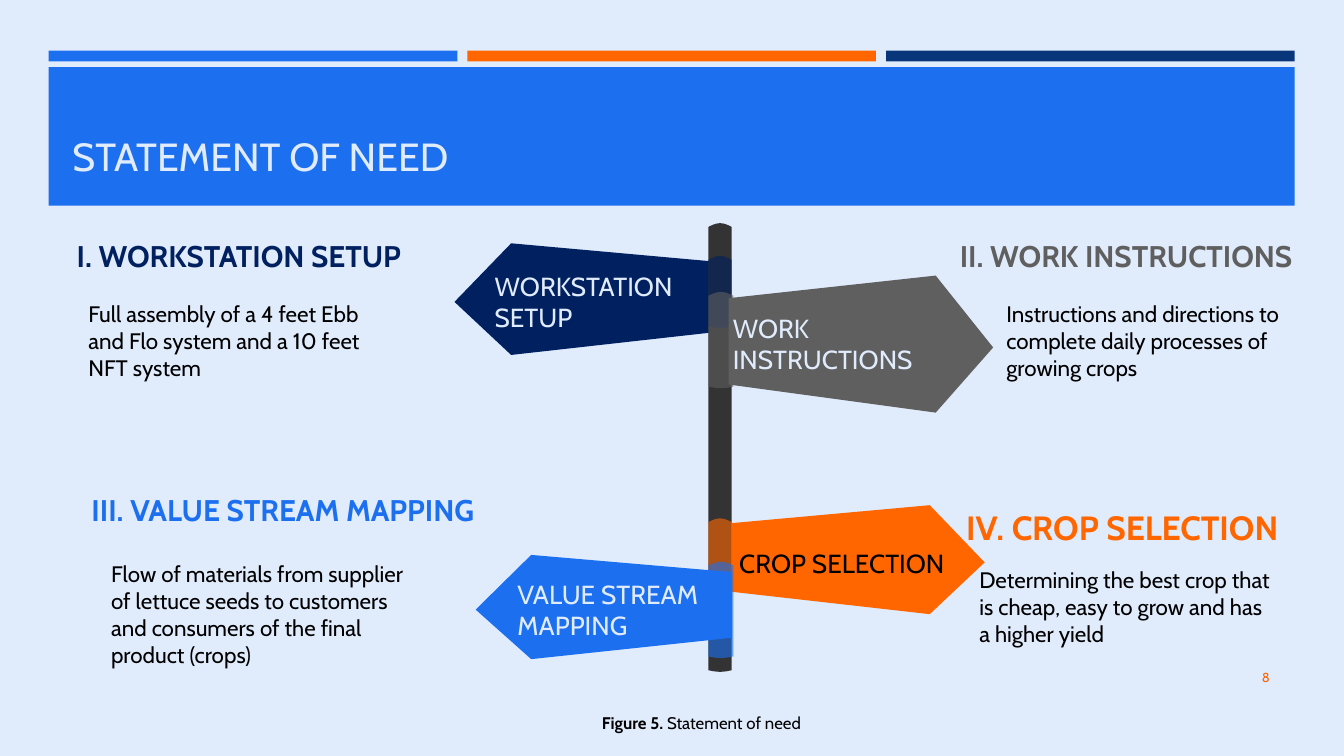
from math import pi, sin

from lxml.etree import SubElement
from pptx import Presentation
from pptx.dml.color import RGBColor
from pptx.enum.shapes import MSO_SHAPE as Shape
from pptx.enum.text import MSO_ANCHOR as Anchor, PP_ALIGN as Align
from pptx.oxml.ns import qn
from pptx.util import Cm, Pt

COLORS = {
    "page": "E0EBFC", "blue": "1C6FEE", "orange": "FF6600", "deep": "09367B",
    "navy": "002060", "gray": "5F5F5F", "post": "333333", "black": "000000",
}
FONT = "Cabin"
BODY_INSETS = (0.25, 0.13, 0.25, 0.13)
HEAD_INSETS = (0, 0.13, 0.25, 0.13)


def rgb(color):
    return RGBColor.from_string(COLORS[color])


def paint(shape, color, opacity=100):
    shape.shadow.inherit = False
    shape.fill.solid()
    shape.fill.fore_color.rgb = rgb(color)
    shape.line.fill.background()
    if opacity < 100:
        tone = shape.fill._xPr.find(qn("a:solidFill"))[0]
        SubElement(tone, qn("a:alpha")).set("val", str(opacity * 1000))


def add_text(page, box, text, size=12, color="black", bold=False, lead="",
             align=Align.LEFT, anchor=Anchor.TOP, insets=BODY_INSETS):
    """Add a text box; lead is a bold opening of the first paragraph."""
    frame = page.shapes.add_textbox(*map(Cm, box)).text_frame
    frame.word_wrap = True
    frame.vertical_anchor = anchor
    (frame.margin_left, frame.margin_top,
     frame.margin_right, frame.margin_bottom) = map(Cm, insets)
    for index, line in enumerate(text.split("\n")):
        para = frame.add_paragraph() if index else frame.paragraphs[0]
        para.alignment = align
        parts = [(line, bold)]
        if lead and index == 0:
            parts.insert(0, (lead, True))
        for words, heavy in parts:
            span = para.add_run()
            span.text = words
            span.font.name = FONT
            span.font.size = Pt(size)
            span.font.bold = heavy
            span.font.color.rgb = rgb(color)


def add_rect(page, box, color):
    paint(page.shapes.add_shape(Shape.RECTANGLE, *map(Cm, box)), color)


def add_outline(page, points, color, opacity=100):
    corners = [(Cm(x), Cm(y)) for x, y in points]
    builder = page.shapes.build_freeform(*corners[0], scale=1.0)
    builder.add_line_segments(corners[1:], close=True)
    paint(builder.convert_to_shape(), color, opacity)


def add_sign(page, box, color, points_left=False):
    """Arrow board that widens from the post towards its tip."""
    left, top, width, height = box
    board = [(0, 0.165), (0.783, 0), (1, 0.525), (0.783, 1), (0, 0.795)]
    add_outline(page, [(left + width * (1 - x if points_left else x),
                        top + height * y) for x, y in board], color)


def add_tube(page, box, color, opacity=100):
    """Piece of post with a domed top and a slightly bulging base."""
    left, top, width, height = box
    dome, bulge, steps = 0.07, 0.03, 12
    turns = [step / steps for step in range(steps + 1)]
    upper = [(left + width * t, top + dome * (1 - sin(pi * t))) for t in turns]
    lower = [(left + width * t, top + height - bulge * (1 - sin(pi * t)))
             for t in reversed(turns)]
    add_outline(page, upper + lower, color, opacity)


def add_header(page, box, title):
    left, top, width, height = box
    gap, stripe_height = 0.19, 0.2
    stripe = (width - 2 * gap) / 3
    for index, color in enumerate(("blue", "orange", "deep")):
        add_rect(page, (left + index * (stripe + gap), top, stripe,
                        stripe_height), color)
    add_rect(page, (left, top + 0.31, width, height - 0.31), "blue")
    add_text(page, (left + 0.27, top + 0.56, width - 0.54, 2.06), title,
             size=21, color="page", anchor=Anchor.BOTTOM,
             insets=(0.18, 0.18, 0.18, 0.18))


def add_signpost(page, box):
    left, top, width, height = box

    def band(offset, length, color, extra=0.0):
        add_tube(page, (left, top + offset, width + extra, length), color, 61)

    right = left + width
    add_sign(page, (left - 4.8, top + 0.38, 4.94, 2.11), "navy", True)
    add_tube(page, box, "post")
    band(5.58, 1.48, "orange")
    add_sign(page, (right, top + 5.33, 4.78, 2.06), "orange")
    add_sign(page, (left - 4.4, top + 6.27, 4.84, 1.97), "blue", True)
    band(0.62, 1.36, "navy")
    band(1.3, 1.82, "gray", 0.03)
    band(6.4, 1.82, "blue", 0.03)
    add_sign(page, (right - 0.06, top + 0.99, 5, 2.59), "gray")

    labels = [
        ("WORKSTATION\nSETUP", -4.04, 0.76, 4.06, 1.45, "page"),
        ("WORK INSTRUCTIONS", 0.46, 1.55, 4.06, 1.45, "page"),
        ("CROP SELECTION", 0.58, 5.99, 4.57, 0.86, "black"),
        ("VALUE STREAM MAPPING", -3.61, 6.58, 4.06, 1.45, "page"),
    ]
    for text, across, down, wide, high, color in labels:
        add_text(page, (left + across, top + down, wide, high), text, size=14,
                 color=color, anchor=Anchor.MIDDLE, insets=HEAD_INSETS)


def add_need(page, head_box, body_at, heading, text, color, size=16):
    add_text(page, head_box, heading, size=size, color=color, bold=True,
             anchor=Anchor.MIDDLE, insets=HEAD_INSETS)
    add_text(page, (*body_at, 6.12, 1.8), text)


def add_footer(page, box, lead, caption, number):
    left, top, width, height = box
    add_text(page, (left, top + 0.92, width, height - 0.92), caption, size=9,
             lead=lead, align=Align.CENTER)
    add_text(page, (22, top, 2.18, 0.76), number, size=7, color="orange",
             align=Align.RIGHT, anchor=Anchor.MIDDLE,
             insets=(0.18, 0.1, 0.18, 0.1))


def main():
    deck = Presentation()
    deck.slide_width, deck.slide_height = Cm(25.4), Cm(14.29)
    page = deck.slides.add_slide(deck.slide_layouts[6])
    page.background.fill.solid()
    page.background.fill.fore_color.rgb = rgb("page")

    add_header(page, (0.92, 0.96, 23.55, 2.93), "STATEMENT OF NEED")
    add_signpost(page, (13.39, 4.22, 0.44, 8.48))
    add_need(page, (1.45, 4.37, 7.62, 0.94), (1.42, 5.54),
             "I. WORKSTATION SETUP",
             "Full assembly of a 4 feet Ebb and Flo system and a 10 feet "
             "NFT system", "navy")
    add_need(page, (18.14, 4.37, 7.09, 0.94), (18.77, 5.54),
             "II. WORK INSTRUCTIONS",
             "Instructions and directions to complete daily processes of "
             "growing crops", "gray")
    add_need(page, (1.73, 9.17, 8.79, 0.94), (1.85, 10.46),
             "III. VALUE STREAM MAPPING",
             "Flow of materials from supplier of lettuce seeds to customers "
             "and consumers of the final product (crops)", "blue")
    add_need(page, (18.26, 9.45, 6.6, 1.02), (18.26, 10.57),
             "IV. CROP SELECTION",
             "Determining the best crop that is cheap, easy to grow and has "
             "a higher yield", "orange", size=18)
    add_footer(page, (8.99, 12.42, 8.53, 1.56), "Figure 5. ",
               "Statement of need", "8")
    deck.save("out.pptx")


if __name__ == "__main__":
    main()
